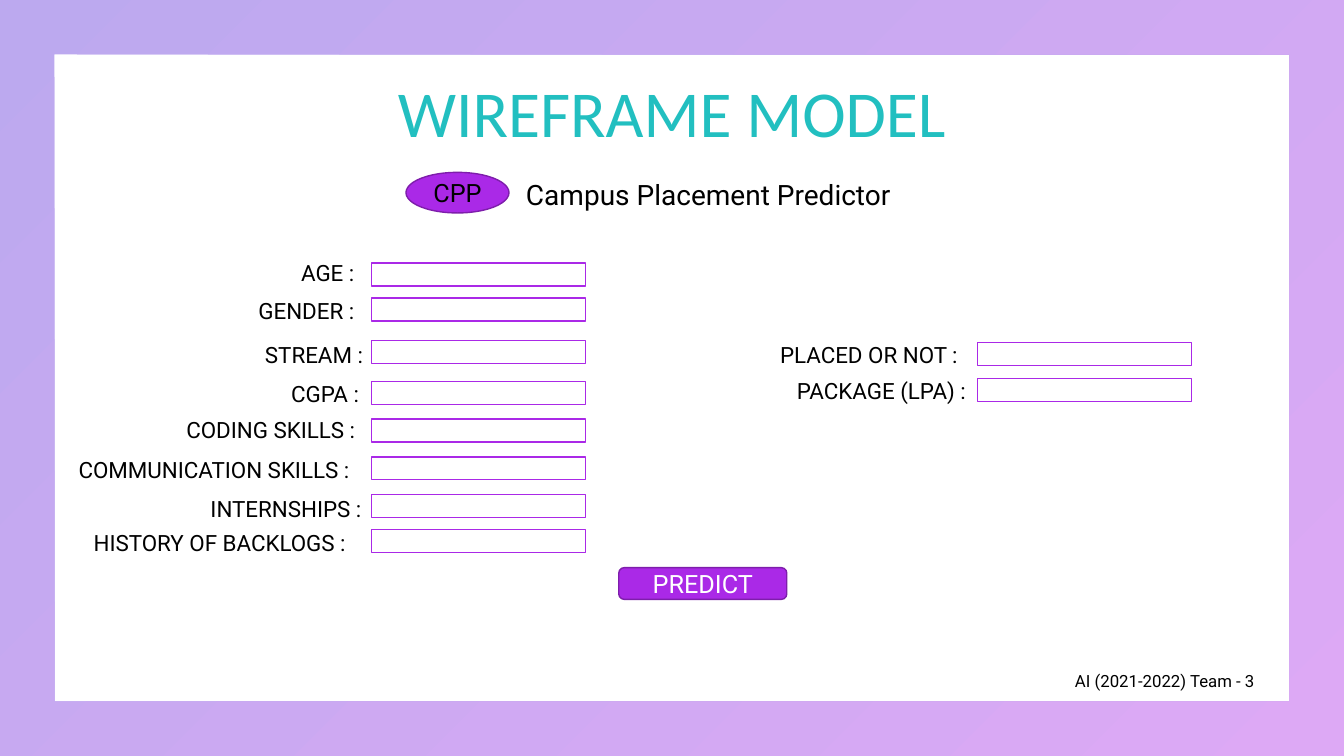
from pptx import Presentation
from pptx.dml.color import RGBColor
from pptx.enum.shapes import MSO_SHAPE as Kind
from pptx.enum.text import MSO_ANCHOR as Anchor, PP_ALIGN as Align
from pptx.util import Pt

INK, WHITE, TEAL = "000000", "FFFFFF", "22BFC0"
PURPLE, EDGE = "AA29E7", "7E1EAB"
FIELDS = [
    ("AGE :", 208, 181.5, 187.8),
    ("GENDER :", 177.5, 208.4, 213),
    ("STREAM :", 182.2, 239.8, 243.3),
    ("CGPA :", 200.9, 268, 272.4),
    ("CODING SKILLS :", 126, 293.8, 299.3),
    ("COMMUNICATION SKILLS :", 49, 322.4, 326.3),
    ("INTERNSHIPS :", 143.3, 350.1, 353.3),
    ("HISTORY OF BACKLOGS :", 59.8, 374.4, 378.3),
]
RESULTS = [
    ("PLACED OR NOT :", 550.1, 239.8, 244.8),
    ("PACKAGE (LPA) :", 562.1, 265.9, 270.4),
]


def tint(code):
    return RGBColor.from_string(code)


def put(item, values):
    for key, value in values.items():
        setattr(item, key, value)


class Board:
    """Hold the style and the current slide, and draw each kind of element."""

    def __init__(self, deck, font="Roboto"):
        self.slide = deck.slides.add_slide(deck.slide_layouts[5])
        self.font = font

    def label(self, item, words, size, color=INK, align=Align.CENTER,
              anchor=Anchor.MIDDLE, font=None):
        frame = item.text_frame
        put(frame, {"word_wrap": True, "vertical_anchor": anchor})
        para = frame.paragraphs[0]
        para.alignment = align
        run = para.add_run()
        run.text = words
        put(run.font, {"size": Pt(size), "name": font or self.font})
        run.font.color.rgb = tint(color)
        return para

    def title(self, words, box, size, color, font):
        item = self.slide.shapes.title
        put(item, dict(zip(("left", "top", "width", "height"), map(Pt, box))))
        para = self.label(item, words, size, color, font=font)
        para.line_spacing = 0.9

    def text(self, words, box, size, align=Align.CENTER):
        item = self.slide.shapes.add_textbox(*map(Pt, box))
        self.label(item, words, size, align=align, anchor=Anchor.TOP)

    def shape(self, kind, box, fill, line):
        item = self.slide.shapes.add_shape(kind, *map(Pt, box))
        item.shadow.inherit = False
        item.fill.solid()
        item.fill.fore_color.rgb = tint(fill)
        item.line.color.rgb = tint(line)
        item.line.width = Pt(1)
        return item

    def border(self, box, ratio, colors):
        item = self.slide.shapes.add_shape(Kind.FRAME, *map(Pt, box))
        item.shadow.inherit = False
        item.adjustments[0] = ratio
        item.line.fill.background()
        item.fill.gradient()
        item.fill.gradient_angle = 315
        for stop, color in zip(item.fill.gradient_stops, colors):
            stop.color.rgb = tint(color)

    def form(self, rows, left):
        for words, start, top, field in rows:
            self.text(words, (start, top, left + 40 - start, 26.6), 16, Align.LEFT)
            self.shape(Kind.RECTANGLE, (left, field, 152.9, 16.4), WHITE, PURPLE)


deck = Presentation()
put(deck, {"slide_width": Pt(960), "slide_height": Pt(540)})
board = Board(deck)
board.border((0, 0, 960, 540), 0.072, ("BCA9EF", "DDA9F5"))
board.title("WIREFRAME MODEL", (66, 53.3, 828, 59.8), 46.8, TEAL, "Calibri")
board.text("AI (2021-2022) Team - 3", (751, 475.2, 162, 21.8), 12)
board.text("Campus Placement Predictor", (260.5, 123.1, 491, 31.5), 20)
badge = board.shape(Kind.OVAL, (290, 123.1, 73.6, 29), PURPLE, EDGE)
board.label(badge, "CPP", 18)
board.form(FIELDS, 265.5)
board.form(RESULTS, 698.4)
button = board.shape(Kind.ROUNDED_RECTANGLE, (442, 405.5, 120, 22.6), PURPLE, EDGE)
board.label(button, "PREDICT", 18, WHITE)
deck.save("out.pptx")
